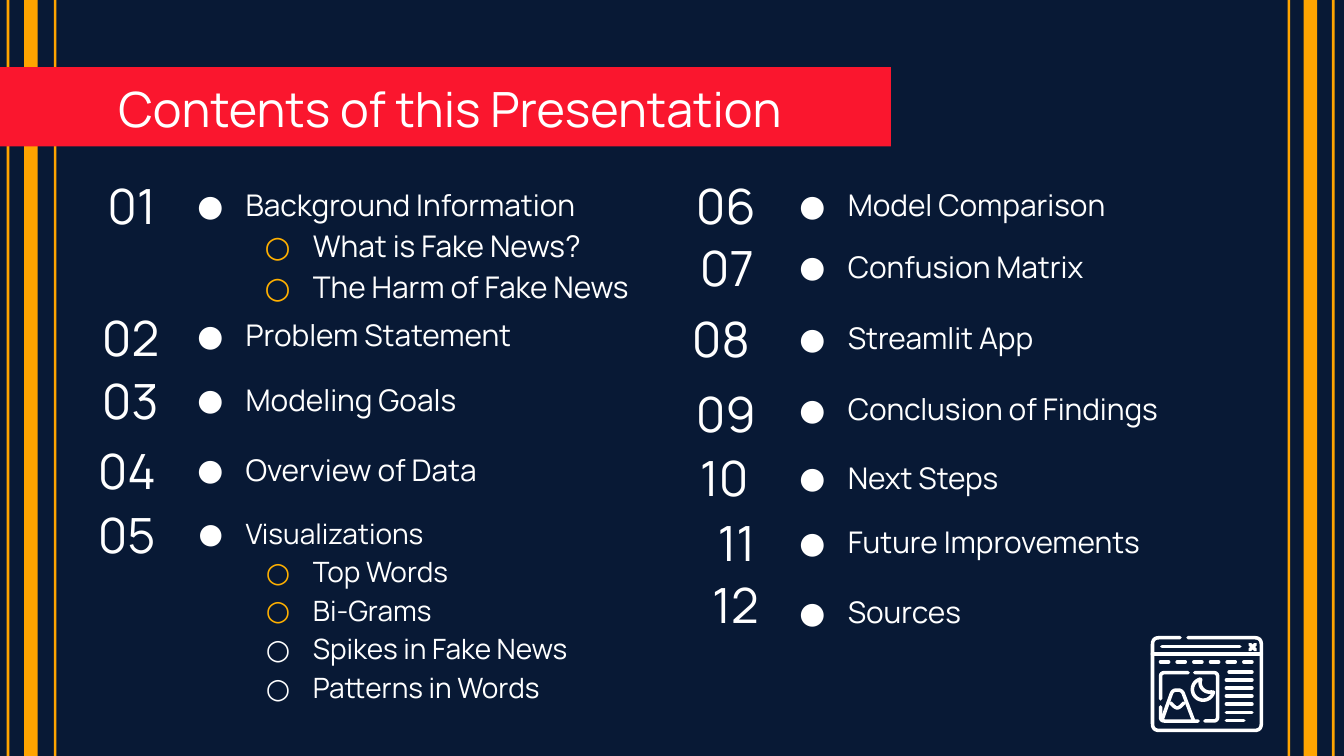
from math import cos, radians, sin

from lxml.etree import SubElement
from pptx import Presentation
from pptx.dml.color import RGBColor
from pptx.enum.shapes import MSO_CONNECTOR, MSO_SHAPE
from pptx.enum.text import MSO_ANCHOR, MSO_AUTO_SIZE, PP_ALIGN
from pptx.oxml.ns import qn
from pptx.util import Inches, Pt

FONT = "Manrope"
NAVY, ORANGE, AMBER, RED, WHITE = "081935", "FFA400", "FFB000", "FA162E", "FFFFFF"
COLUMNS, ROWS = 100, 56.25  # grid of the slide

# number, its column and row, row of the text, heading, sub-items with bullet colours
LEFT_ENTRIES = [
    ("01", 7, 12.1, 12.9, "Background Information",
     [("What is Fake News?", AMBER), ("The Harm of Fake News", AMBER)]),
    ("02", 6.6, 21.9, 22.6, "Problem Statement", []),
    ("03", 6.6, 26.6, 27.4, "Modeling Goals", []),
    ("04", 6.3, 31.8, 32.6, "Overview of Data", []),
    ("05", 6.3, 36.6, 37.4, "Visualizations",
     [("Top Words", AMBER), ("Bi-Grams", AMBER),
      ("Spikes in Fake News", WHITE), ("Patterns in Words", WHITE)]),
]
RIGHT_ENTRIES = [
    ("06", 50.8, 12.1, 12.9, "Model Comparison", []),
    ("07", 51.1, 16.7, 17.5, "Confusion Matrix", []),
    ("08", 50.5, 22, 22.8, "Streamlit App", []),
    ("09", 50.8, 27.6, 28.1, "Conclusion of Findings", []),
    ("10", 51.1, 32.3, 33.2, "Next Steps", []),
    ("11", 52.4, 37.2, 38, "Future Improvements", []),
    ("12", 52, 41.8, 43.2, "Sources", []),
]

prs = Presentation()
prs.slide_width, prs.slide_height = Inches(10), Inches(5.625)


def color(value):
    return RGBColor.from_string(value)


def grid(left, top, width, height):
    """Turn columns and rows into lengths."""
    col, row = prs.slide_width / COLUMNS, prs.slide_height / ROWS
    return [round(n) for n in (left * col, top * row, width * col, height * row)]


def add_bar(s, box, fill):
    sp = s.shapes.add_shape(MSO_SHAPE.RECTANGLE, *grid(*box))
    sp.shadow.inherit = False
    sp.fill.solid()
    sp.fill.fore_color.rgb = color(fill)
    sp.line.fill.background()
    return sp


def format_frame(tf):
    inset = Inches(0.1)
    values = {"word_wrap": True, "auto_size": MSO_AUTO_SIZE.NONE,
              "vertical_anchor": MSO_ANCHOR.TOP, "margin_left": inset,
              "margin_right": inset, "margin_top": inset, "margin_bottom": inset}
    for name, value in values.items():
        setattr(tf, name, value)


def write(p, text, size):
    p.alignment = PP_ALIGN.LEFT
    r = p.add_run()
    r.text = text
    for name, value in {"name": FONT, "size": Pt(size), "bold": False}.items():
        setattr(r.font, name, value)
    r.font.color.rgb = color(WHITE)


def add_bullet(p, char, fill, left, hanging):
    pPr = p._p.get_or_add_pPr()
    pPr.set("marL", str(Inches(left)))
    pPr.set("indent", str(-Inches(hanging)))
    SubElement(SubElement(pPr, qn("a:buClr")), qn("a:srgbClr"), val=fill)
    SubElement(pPr, qn("a:buFont"), typeface=FONT)
    SubElement(pPr, qn("a:buChar"), char=char)


def add_text_box(s, box):
    tf = s.shapes.add_textbox(*grid(*box)).text_frame
    format_frame(tf)
    return tf


def add_stripes(s, columns):
    for left, width in columns:
        add_bar(s, (left, 0, width, ROWS), ORANGE)


def add_heading(s, text, box):
    bar = add_bar(s, box, RED)
    title = s.shapes.title
    left, top, _, _ = box
    title.left, title.top, title.width, title.height = grid(left + 7.8, top - 0.1, 59.3, 6.3)
    format_frame(title.text_frame)
    write(title.text_frame.paragraphs[0], text, 26)
    bar._element.addnext(title._element)


def add_entries(s, entries, text_column):
    for number, column, row, text_row, heading, items in entries:
        write(add_text_box(s, (column, row, 7.2, 5.2)).paragraphs[0], number, 26)
        size, hanging = (15, 0.35) if len(items) > 2 else (16, 0.36)
        tf = add_text_box(s, (text_column, text_row, 39.6, 4.4 + 2.8 * len(items)))
        p = tf.paragraphs[0]
        add_bullet(p, "●", WHITE, 0.5, hanging)
        write(p, heading, size)
        for item, fill in items:
            p = tf.add_paragraph()
            p.level = 1
            add_bullet(p, "○", fill, 1, hanging)
            p.line_spacing = 1.15
            write(p, item, size)


def rounded(points, radius, steps=6):
    """Replace the inner corners of a polyline by short curves."""
    path = [points[0]]
    for before, corner, after in zip(points, points[1:], points[2:]):
        ends = []
        for x, y in (before, after):
            dx, dy = x - corner[0], y - corner[1]
            share = min(radius / (dx * dx + dy * dy) ** 0.5, 0.5)
            ends.append((corner[0] + dx * share, corner[1] + dy * share))
        for i in range(steps + 1):
            t = i / steps
            path.append(tuple((1 - t) ** 2 * a + 2 * t * (1 - t) * c + t * t * b
                              for a, c, b in zip(ends[0], corner, ends[1])))
    return path + [points[-1]]


def arc(cx, cy, radius, start, end, steps=20):
    angles = [radians(start + (end - start) * i / steps) for i in range(steps + 1)]
    return [(cx + radius * cos(a), cy + radius * sin(a)) for a in angles]


def add_web_page_icon(s, box):
    """Draw a browser window with a picture and lines of text."""
    left, top, width, height = grid(*box)

    def stroke(points, close=False):
        pts = [(round(left + x * width / 83), round(top + y * height / 72)) for x, y in points]
        if len(pts) == 2:
            sp = s.shapes.add_connector(MSO_CONNECTOR.STRAIGHT, *pts[0], *pts[1])
            SubElement(sp._element.spPr, qn("a:effectLst"))
        else:
            builder = s.shapes.build_freeform(*pts[0])
            builder.add_line_segments(pts[1:], close=close)
            sp = builder.convert_to_shape()
            sp.shadow.inherit = False
            sp.fill.background()
        sp.line.color.rgb = color(WHITE)
        sp.line.width = Pt(1.9)
        sp.line._get_or_add_ln().set("cap", "rnd")

    corners = [
        ([(28, 1.5), (82.5, 1.5), (82.5, 70.5), (1.5, 70.5), (1.5, 1.5), (22, 1.5)], 5),  # window
        ([(7.5, 47), (7.5, 27.5), (28, 27.5)], 3),  # picture frame
        ([(33, 27.5), (50, 27.5), (50, 63.5), (40.5, 63.5)], 3),
        ([(7.5, 53), (7.5, 63.5), (35.5, 63.5)], 3),
        ([(8.5, 63), (16.5, 40.5), (23.5, 40.5), (32, 63)], 3),  # mountain
        ([(15, 50), (20, 55), (25, 50)], 5),
    ]
    for points, radius in corners:
        stroke(rounded(points, radius))
    stroke(arc(39.2, 40, 8, -105, -345) + arc(44, 35, 7, 80, 200), close=True)  # moon

    rules = [(1.5, 82.5, 13.5), (8.5, 66.5, 8)]
    rules += [(7.5 + 12.4 * i, 13.5 + 12.4 * i, 19.5) for i in range(6)]
    rules += [(58.5 if i == 0 else 56.5, 69.5 if i == 6 else 75.5, 27 + 6 * i) for i in range(7)]
    for start, end, y in rules:
        stroke([(start, y), (end, y)])
    for rise in (-2, 2):  # close button
        stroke([(74, 8.5 - rise), (78, 8.5 + rise)])


def add_contents_slide():
    s = prs.slides.add_slide(prs.slide_layouts[5])
    s.background.fill.solid()
    s.background.fill.fore_color.rgb = color(NAVY)
    add_stripes(s, [(0.5, 0.2), (1.8, 1), (4, 0.2), (95.8, 0.2), (97, 1), (99.1, 0.2)])
    add_heading(s, "Contents of this Presentation", (0, 5, 66.3, 5.9))
    add_entries(s, LEFT_ENTRIES, 12.3)
    add_entries(s, RIGHT_ENTRIES, 57.1)
    add_web_page_icon(s, (85.6, 47.3, 8.3, 7.2))


if __name__ == "__main__":
    add_contents_slide()
    prs.save("out.pptx")
